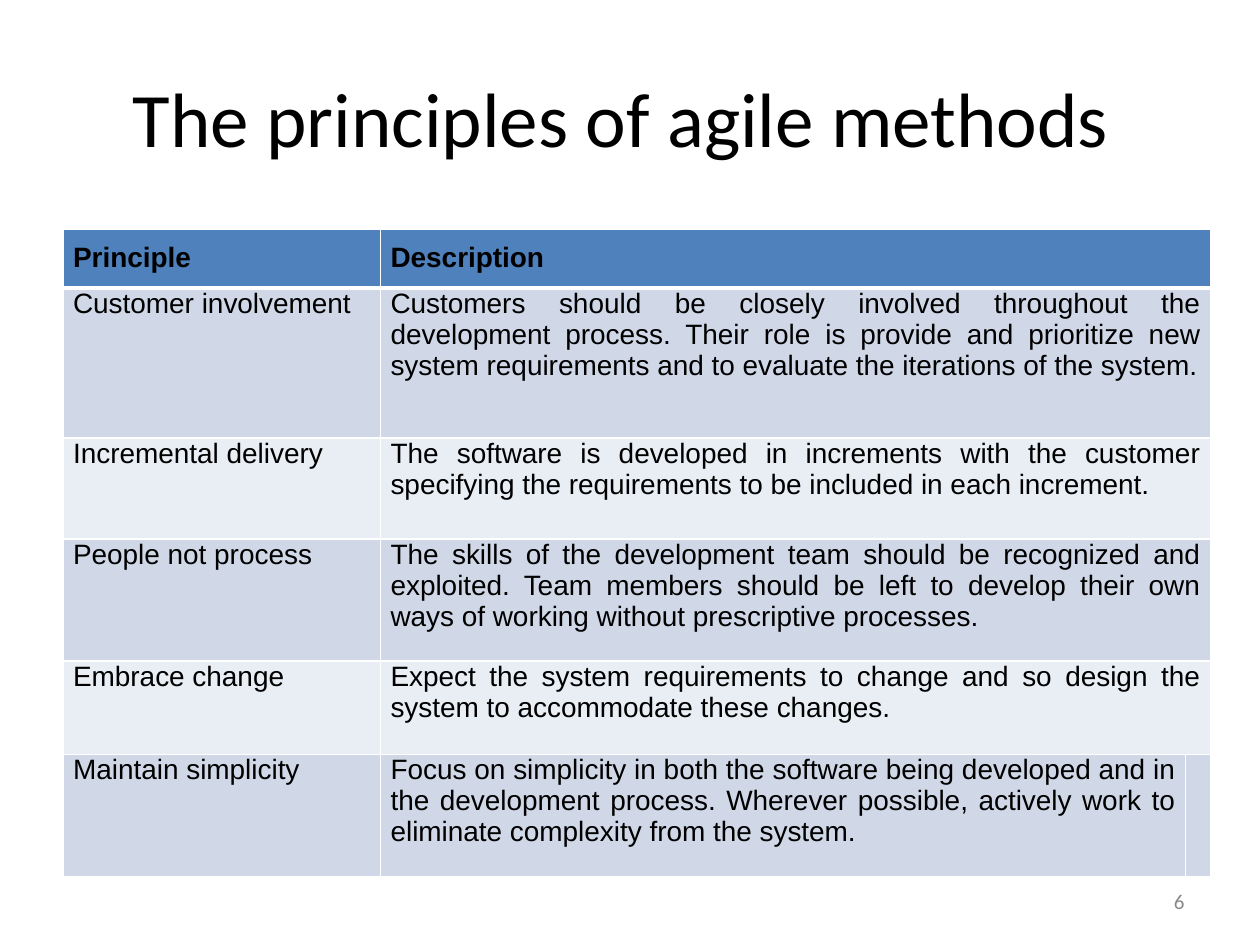
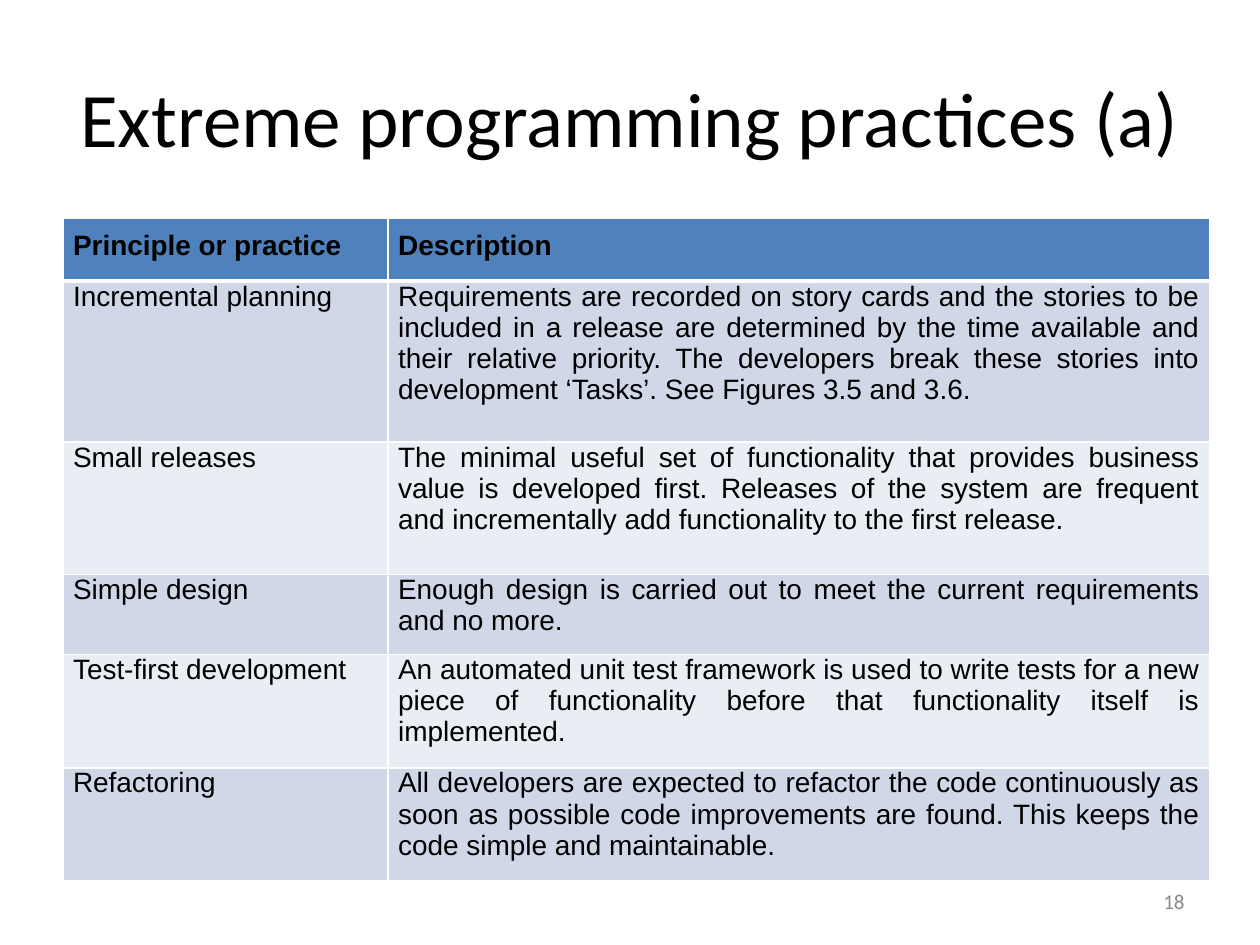
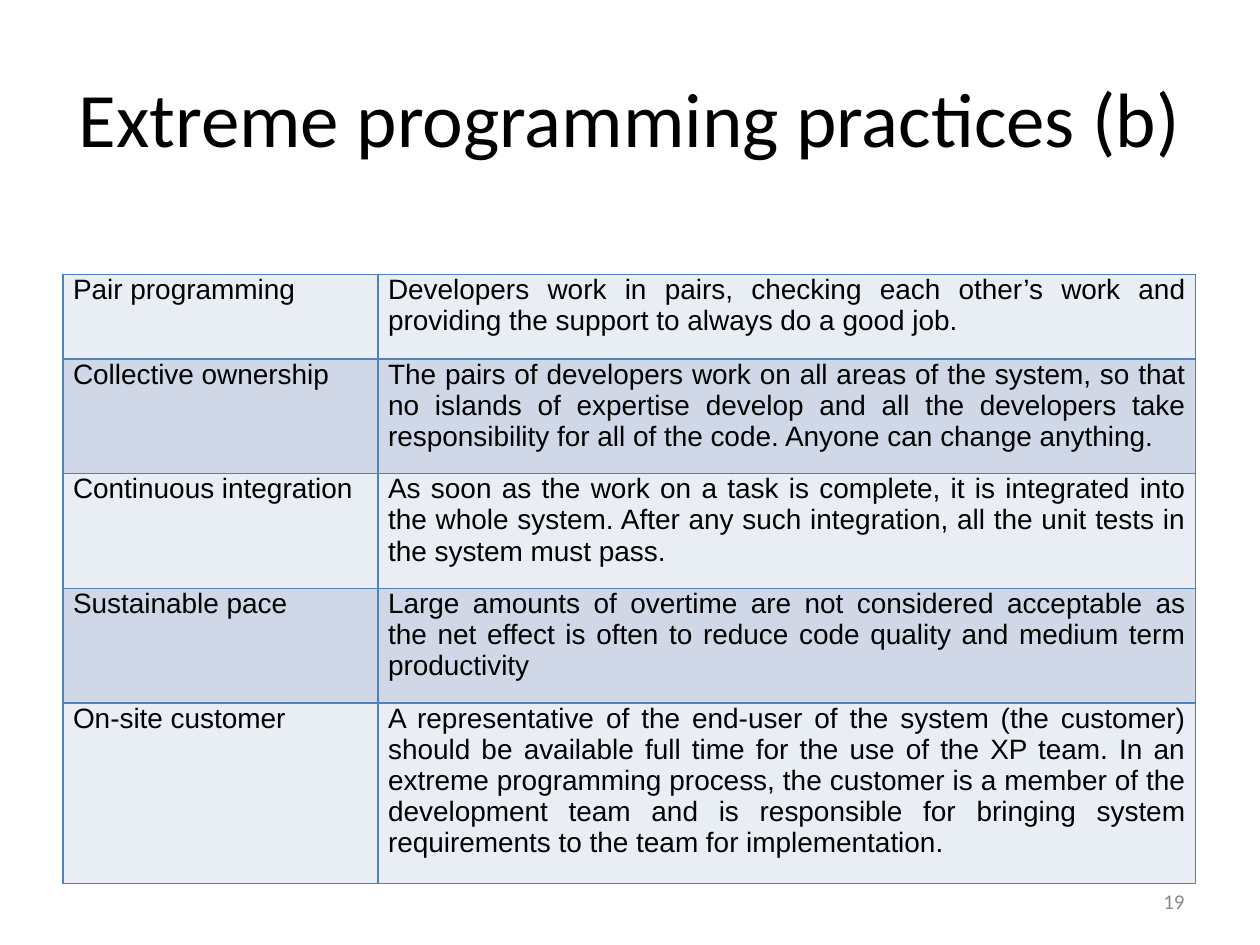
from dataclasses import dataclass

from lxml.etree import SubElement
from pptx import Presentation
from pptx.dml.color import RGBColor
from pptx.enum.text import MSO_ANCHOR, PP_ALIGN
from pptx.oxml.ns import qn
from pptx.util import Inches, Pt


@dataclass(frozen=True)
class Theme:
    """Colours, fonts and type sizes shared by the slides."""
    text: str = "000000"
    muted: str = "898989"
    accent: str = "4F81BD"
    white: str = "FFFFFF"
    dark_band: str = "D0D8E8"
    light_band: str = "E9EDF4"
    heading_font: str = "Calibri"
    table_font: str = "Arial"
    title_size: int = 44
    table_size: int = 16
    number_size: int = 12
    thin_line: int = 1
    thick_line: int = 3


theme = Theme()


def write_text(frame, text, *, font, size, color, align, bold=False):
    """Put one formatted paragraph into a text frame."""
    frame.word_wrap = True
    paragraph = frame.paragraphs[0]
    paragraph.alignment = align
    run = paragraph.add_run()
    run.text = text
    run.font.name = font
    run.font.size = Pt(size)
    run.font.bold = bold
    run.font.color.rgb = RGBColor.from_string(color)


def set_borders(cell, color, top, bottom):
    """Draw the four borders of a cell, with widths in points for top and bottom."""
    properties = cell._tc.get_or_add_tcPr()
    widths = {"lnL": theme.thin_line, "lnR": theme.thin_line, "lnT": top, "lnB": bottom}
    for position, (side, width) in enumerate(widths.items()):
        line = SubElement(properties, qn(f"a:{side}"), w=str(Pt(width)))
        fill = SubElement(line, qn("a:solidFill"))
        SubElement(fill, qn("a:srgbClr"), val=color)
        properties.insert(position, line)


# Each row is a height in inches, then the text of its cells.
pages = [
    {
        "title": "The principles of agile methods ",
        "number": 6,
        "top": 1.82,
        "columns": [2.52, 6.39, 0.14],
        "has_header": True,
        "border": theme.white,
        "rows": [
            (0.44, "Principle", "Description"),
            (1.19, "Customer involvement ",
             "Customers should be closely involved throughout the development process. "
             "Their role is provide and prioritize new system requirements and to "
             "evaluate the iterations of the system."),
            (0.8, "Incremental delivery",
             "The software is developed in increments with the customer specifying the "
             "requirements to be included in each increment."),
            (0.97, "People not process",
             "The skills of the development team should be recognized and exploited. "
             "Team members should be left to develop their own ways of working without "
             "prescriptive processes."),
            (0.74, "Embrace change",
             "Expect the system requirements to change and so design the system to "
             "accommodate these changes."),
            (0.97, "Maintain simplicity",
             "Focus on simplicity in both the software being developed and in the "
             "development process. Wherever possible, actively work to eliminate "
             "complexity from the system."),
        ],
    },
    {
        "title": "Extreme programming practices (a) ",
        "number": 18,
        "top": 1.73,
        "columns": [2.58, 6.52],
        "has_header": True,
        "border": theme.white,
        "rows": [
            (0.5, "Principle or practice", "Description"),
            (1.28, "Incremental planning",
             "Requirements are recorded on story cards and the stories to be included in "
             "a release are determined by the time available and their relative "
             "priority. The developers break these stories into development ‘Tasks’. "
             "See Figures 3.5 and 3.6."),
            (1.05, "Small releases",
             "The minimal useful set of functionality that provides business value is "
             "developed first. Releases of the system are frequent and incrementally add "
             "functionality to the first release."),
            (0.59, "Simple design ",
             "Enough design is carried out to meet the current requirements and no more."),
            (0.84, "Test-first development",
             "An automated unit test framework is used to write tests for a new piece of "
             "functionality before that functionality itself is implemented."),
            (0.84, "Refactoring",
             "All developers are expected to refactor the code continuously as soon as "
             "possible code improvements are found. This keeps the code simple and "
             "maintainable."),
        ],
    },
    {
        "title": "Extreme programming practices (b)",
        "number": 19,
        "top": 2.18,
        "columns": [2.5, 6.49],
        "has_header": False,
        "border": theme.accent,
        "rows": [
            (0.67, "Pair programming",
             "Developers work in pairs, checking each other’s work and providing the "
             "support to always do a good job."),
            (0.91, "Collective ownership",
             "The pairs of developers work on all areas of the system, so that no "
             "islands of expertise develop and all the developers take responsibility "
             "for all of the code. Anyone can change anything."),
            (0.91, "Continuous integration",
             "As soon as the work on a task is complete, it is integrated into the whole "
             "system. After any such integration, all the unit tests in the system must "
             "pass."),
            (0.91, "Sustainable pace",
             "Large amounts of overtime are not considered acceptable as the net effect "
             "is often to reduce code quality and medium term productivity"),
            (1.4, "On-site customer",
             "A representative of the end-user of the system (the customer) should be "
             "available full time for the use of the XP team. In an extreme programming "
             "process, the customer is a member of the development team and is "
             "responsible for bringing system requirements to the team for "
             "implementation."),
        ],
    },
]

presentation = Presentation()
presentation.slide_width = Inches(10)
presentation.slide_height = Inches(7.5)
blank_layout = presentation.slide_layouts[6]

for page in pages:
    slide = presentation.slides.add_slide(blank_layout)

    title = slide.shapes.add_textbox(Inches(0.5), Inches(0.3), Inches(9), Inches(1.25))
    title.text_frame.vertical_anchor = MSO_ANCHOR.MIDDLE
    write_text(title.text_frame, page["title"], font=theme.heading_font,
               size=theme.title_size, color=theme.text, align=PP_ALIGN.CENTER)

    rows, columns = page["rows"], page["columns"]
    table = slide.shapes.add_table(
        len(rows), len(columns), Inches(0.5), Inches(page["top"]),
        Inches(sum(columns)), Inches(sum(row[0] for row in rows))).table
    table.first_row = page["has_header"]
    for column, width in zip(table.columns, columns):
        column.width = Inches(width)

    for row_index, (height, *texts) in enumerate(rows):
        table.rows[row_index].height = Inches(height)
        is_header = page["has_header"] and row_index == 0
        below_header = page["has_header"] and row_index == 1
        if is_header:
            band = theme.accent
        else:
            is_dark = row_index % 2 == 1
            band = theme.dark_band if is_dark else theme.light_band

        for column_index in range(len(columns)):
            cell = table.cell(row_index, column_index)
            cell.fill.solid()
            cell.fill.fore_color.rgb = RGBColor.from_string(band)
            cell.margin_left = cell.margin_right = Inches(0.08)
            cell.margin_top = Inches(0.1 if is_header else 0)
            cell.margin_bottom = Inches(0.1)
            set_borders(cell, page["border"],
                        top=theme.thick_line if below_header else theme.thin_line,
                        bottom=theme.thick_line if is_header else theme.thin_line)
            if column_index < len(texts):
                write_text(cell.text_frame, texts[column_index], font=theme.table_font,
                           size=theme.table_size, color=theme.text,
                           align=PP_ALIGN.JUSTIFY, bold=is_header)

        # A narrow third column shows only in the last row.
        if len(columns) == 3 and row_index < len(rows) - 1:
            table.cell(row_index, 1).merge(table.cell(row_index, 2))

    number = slide.shapes.add_textbox(Inches(7.17), Inches(6.95), Inches(2.33), Inches(0.4))
    number.text_frame.vertical_anchor = MSO_ANCHOR.MIDDLE
    write_text(number.text_frame, str(page["number"]), font=theme.heading_font,
               size=theme.number_size, color=theme.muted, align=PP_ALIGN.RIGHT)

presentation.save("out.pptx")
